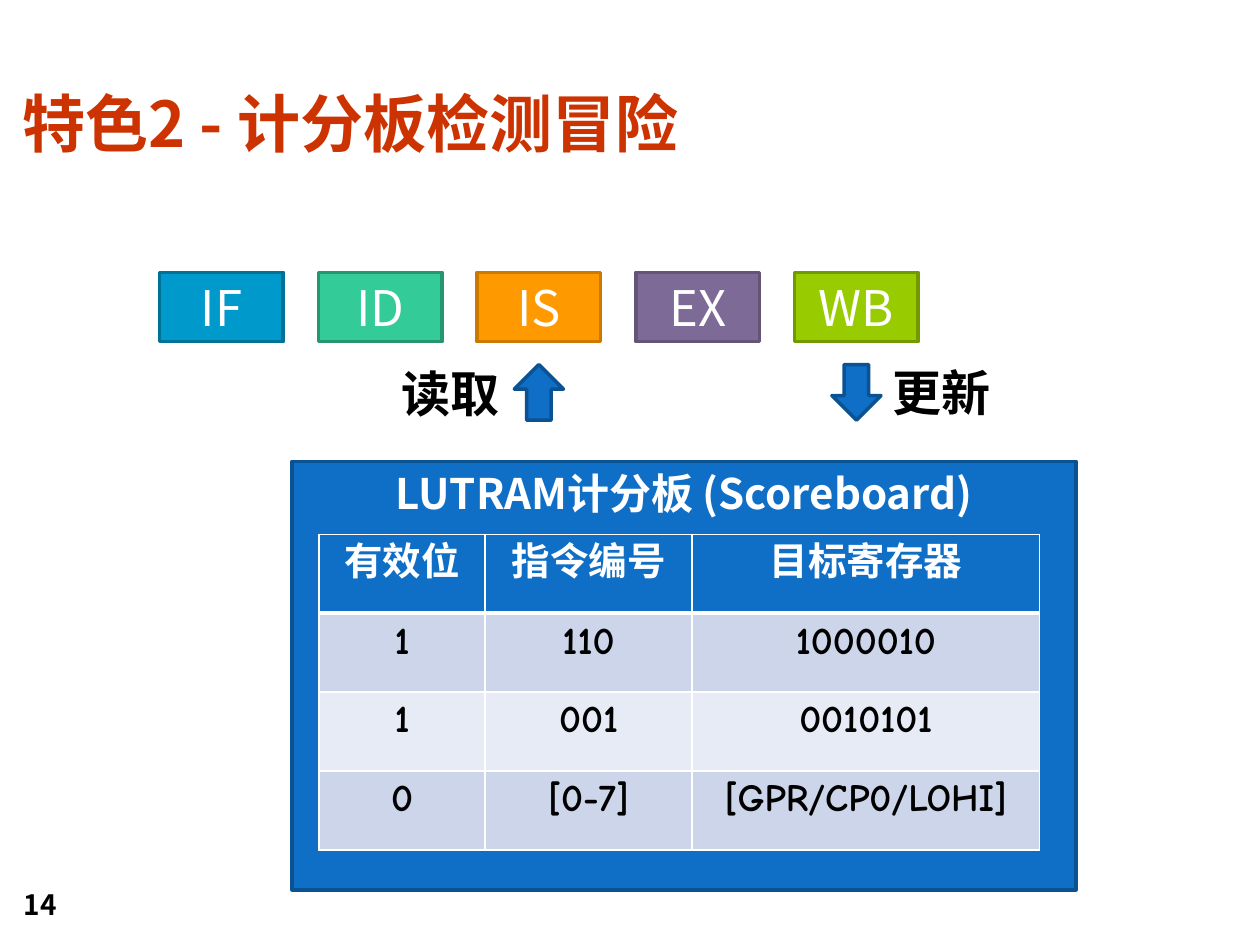
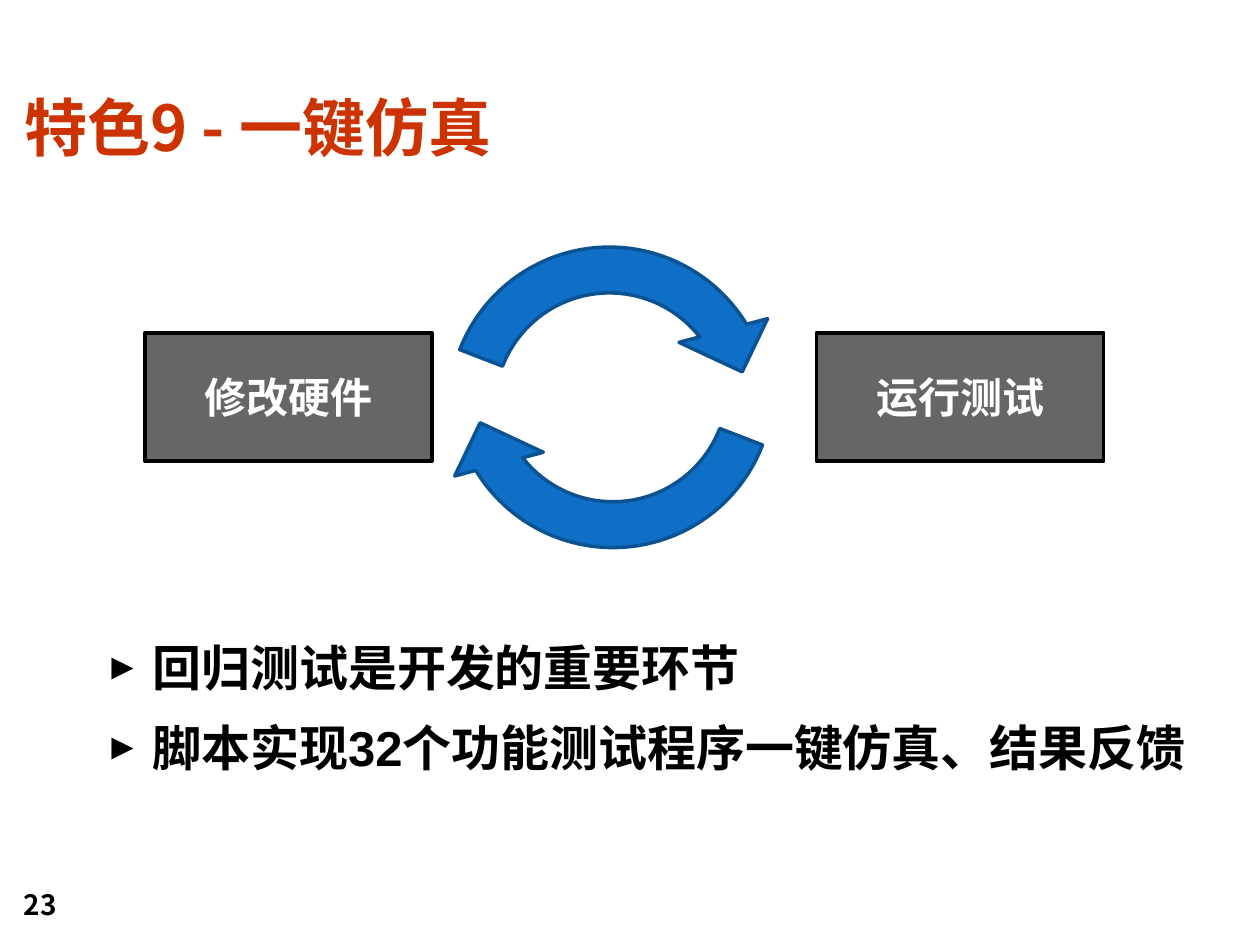
"""Build two slides on a pipeline scoreboard and one-key simulation."""
from lxml import etree
from pptx import Presentation
from pptx.dml.color import RGBColor
from pptx.enum.shapes import MSO_SHAPE
from pptx.enum.text import MSO_ANCHOR, MSO_AUTO_SIZE, PP_ALIGN
from pptx.oxml.ns import qn
from pptx.util import Cm, Pt

RECTANGLE = MSO_SHAPE.RECTANGLE
UP_ARROW = MSO_SHAPE.UP_ARROW
DOWN_ARROW = MSO_SHAPE.DOWN_ARROW
CIRCULAR_ARROW = MSO_SHAPE.CIRCULAR_ARROW
LEFT, CENTER = PP_ALIGN.LEFT, PP_ALIGN.CENTER
TOP, MIDDLE, BOTTOM = MSO_ANCHOR.TOP, MSO_ANCHOR.MIDDLE, MSO_ANCHOR.BOTTOM
NO_AUTOFIT = MSO_AUTO_SIZE.NONE

SANS, ARIAL, COMIC = "Noto Sans CJK SC", "Arial", "Comic Neue"

BLACK = RGBColor(0x00, 0x00, 0x00)
WHITE = RGBColor(0xFF, 0xFF, 0xFF)
TITLE_RED = RGBColor(0xCC, 0x33, 0x00)
BLUE = RGBColor(0x0F, 0x6F, 0xC6)
DARK_BLUE = RGBColor(0x0B, 0x52, 0x92)
GRAY = RGBColor(0x66, 0x66, 0x66)
ROW_DARK = RGBColor(0xCC, 0xD5, 0xEA)
ROW_LIGHT = RGBColor(0xE7, 0xEB, 0xF5)

STAGES = [
    ("IF", RGBColor(0x00, 0x99, 0xCB), RGBColor(0x00, 0x72, 0x96)),
    ("ID", RGBColor(0x33, 0xCB, 0x98), RGBColor(0x26, 0x96, 0x71)),
    ("IS", RGBColor(0xFE, 0x99, 0x00), RGBColor(0xCC, 0x79, 0x00)),
    ("EX", RGBColor(0x7E, 0x6A, 0x97), RGBColor(0x64, 0x54, 0x78)),
    ("WB", RGBColor(0x98, 0xCB, 0x00), RGBColor(0x72, 0x9A, 0x00)),
]
STAGE_LEFT, STAGE_STEP = 3.22, 3.2

SCOREBOARD = [
    ["有效位", "指令编号", "目标寄存器"],
    ["1", "110", "1000010"],
    ["1", "001", "0010101"],
    ["0", "[0-7]", "[GPR/CP0/LOHI]"],
]
COLUMN_WIDTHS = [3.35, 4.17, 7.01]
ROW_HEIGHT = 1.59


def place(shape, left, top, width, height):
    """Move and size a shape, in centimetres."""
    shape.left, shape.top = Cm(left), Cm(top)
    shape.width, shape.height = Cm(width), Cm(height)


def style(frame, size, color, font=SANS, bold=True, align=LEFT):
    """Format every paragraph and run of a text frame."""
    for para in frame.paragraphs:
        para.alignment = align
        for span in para.runs:
            span.font.size = Pt(size)
            span.font.bold = bold
            span.font.color.rgb = color
            span.font.name = font
            east_asian = etree.Element(qn("a:ea"), typeface=font)
            span.font._element.find(qn("a:latin")).addnext(east_asian)


def add_page(deck, layout, title, number, left, top):
    """Add a slide with its title and page number."""
    page = deck.slides.add_slide(deck.slide_layouts[layout])
    heading = page.shapes.title
    place(heading, left, top, 22.02, 3.18)
    frame = heading.text_frame
    frame.text = title
    frame.auto_size = NO_AUTOFIT
    frame.vertical_anchor = BOTTOM
    frame.paragraphs[0].line_spacing = 0.9
    style(frame, 36, TITLE_RED)
    add_label(page, number, (0.23, 17.35, 1.63, 1.35), 16, SANS, BOTTOM, True)
    return page


def add_label(page, text, area, size, font, anchor=TOP, wrap=False):
    """Add a bold black text box."""
    box = page.shapes.add_textbox(*map(Cm, area))
    frame = box.text_frame
    frame.text = text
    frame.word_wrap = wrap
    frame.vertical_anchor = anchor
    style(frame, size, BLACK, font)


def add_figure(page, kind, area, fill=BLUE, line=DARK_BLUE):
    """Add a filled and outlined preset shape."""
    shape = page.shapes.add_shape(kind, *map(Cm, area))
    shape.shadow.inherit = False
    shape.fill.solid()
    shape.fill.fore_color.rgb = fill
    shape.line.color.rgb = line
    shape.line.width = Pt(2)
    return shape


def add_block(page, text, area, fill, line, size, bold=True, anchor=MIDDLE):
    """Add a rectangle with centred white text."""
    frame = add_figure(page, RECTANGLE, area, fill, line).text_frame
    frame.text = text
    frame.vertical_anchor = anchor
    style(frame, size, WHITE, bold=bold, align=CENTER)


def set_borders(cell, top, bottom):
    """Draw white cell borders with the given top and bottom widths."""
    properties = cell._tc.get_or_add_tcPr()
    widths = {"L": 1, "R": 1, "T": top, "B": bottom}
    for index, (side, width) in enumerate(widths.items()):
        line = etree.Element(qn(f"a:ln{side}"), w=str(Pt(width)))
        fill = etree.SubElement(line, qn("a:solidFill"))
        etree.SubElement(fill, qn("a:srgbClr"), val=str(WHITE))
        properties.insert(index, line)


def add_scoreboard_table(page, left, top):
    """Add the scoreboard table with a header and shaded rows."""
    rows, columns = len(SCOREBOARD), len(COLUMN_WIDTHS)
    table = page.shapes.add_table(
        rows, columns, Cm(left), Cm(top),
        Cm(sum(COLUMN_WIDTHS)), Cm(rows * ROW_HEIGHT)).table
    table.first_row = table.horz_banding = False
    for column, width in zip(table.columns, COLUMN_WIDTHS):
        column.width = Cm(width)
    for index, values in enumerate(SCOREBOARD):
        table.rows[index].height = Cm(ROW_HEIGHT)
        header = index == 0
        shade = BLUE if header else ROW_DARK if index % 2 else ROW_LIGHT
        for cell, value in zip(table.rows[index].cells, values):
            cell.text = value
            cell.fill.solid()
            cell.fill.fore_color.rgb = shade
            set_borders(cell, 3 if index == 1 else 1, 3 if header else 1)
            style(cell.text_frame, 22, WHITE if header else BLACK,
                  COMIC, align=CENTER)


def add_bullet(para):
    """Give a paragraph a hanging black triangle bullet."""
    properties = para._p.get_or_add_pPr()
    properties.set("marL", str(Cm(0.97)))
    properties.set("indent", str(-Cm(0.97)))
    color = etree.SubElement(properties, qn("a:buClr"))
    etree.SubElement(color, qn("a:srgbClr"), val=str(BLACK))
    etree.SubElement(properties, qn("a:buSzPct"), val="75000")
    etree.SubElement(properties, qn("a:buFont"), typeface=ARIAL)
    etree.SubElement(properties, qn("a:buChar"), char="►")


def fill_list(body, area, items):
    """Fill the body placeholder with bulleted lines."""
    place(body, *area)
    frame = body.text_frame
    frame.text = "\n".join(items)
    frame.auto_size = NO_AUTOFIT
    for index, para in enumerate(frame.paragraphs):
        add_bullet(para)
        para.space_before = Pt(12 if index else 0)
    style(frame, 28, BLACK, ARIAL)


def add_cycle_arrow(page, left, top, rotation):
    """Add one half of the development cycle."""
    arrow = add_figure(page, CIRCULAR_ARROW, (left, top, 7.39, 7.39))
    arrow.rotation = rotation
    for index, value in enumerate((0.125, 11.42, 204.58, 129.68, 0.125)):
        arrow.adjustments[index] = value


def build_scoreboard_page(deck):
    """Build the slide on hazard detection."""
    page = add_page(deck, 5, "特色2 - 计分板检测冒险", "14", 0.2, 0.2)
    for index, (name, fill, line) in enumerate(STAGES):
        area = (STAGE_LEFT + index * STAGE_STEP, 5.49, 2.49, 1.4)
        add_block(page, name, area, fill, line, 28, bold=False)
    for stage, kind in ((2, UP_ARROW), (4, DOWN_ARROW)):
        left = STAGE_LEFT + stage * STAGE_STEP + 0.75
        add_figure(page, kind, (left, 7.35, 0.99, 1.12))
    add_label(page, "读取", (7.85, 7.21, 2.51, 1.45), 28, ARIAL)
    add_label(page, "更新", (17.75, 7.19, 2.51, 1.45), 28, ARIAL)
    add_block(page, "LUTRAM计分板 (Scoreboard)", (5.89, 9.3, 15.8, 8.64),
              BLUE, DARK_BLUE, 24, anchor=TOP)
    add_scoreboard_table(page, 6.43, 10.77)


def build_simulation_page(deck):
    """Build the slide on one-key simulation."""
    page = add_page(deck, 1, "特色9 - 一键仿真", "23", 0.23, 0.28)
    fill_list(page.placeholders[1], (1.85, 12.73, 22.91, 5.97),
              ["回归测试是开发的重要环节",
               "脚本实现32个功能测试程序一键仿真、结果反馈"])
    for left, text in ((2.92, "修改硬件"), (16.46, "运行测试")):
        add_block(page, text, (left, 6.71, 5.79, 2.59), GRAY, BLACK, 24)
    add_cycle_arrow(page, 8.66, 4.11, 165)
    add_cycle_arrow(page, 8.59, 4.52, 345)


def main():
    """Build and save the deck."""
    deck = Presentation()
    deck.slide_width, deck.slide_height = Cm(25.4), Cm(19.05)
    build_scoreboard_page(deck)
    build_simulation_page(deck)
    deck.save("out.pptx")


if __name__ == "__main__":
    main()
